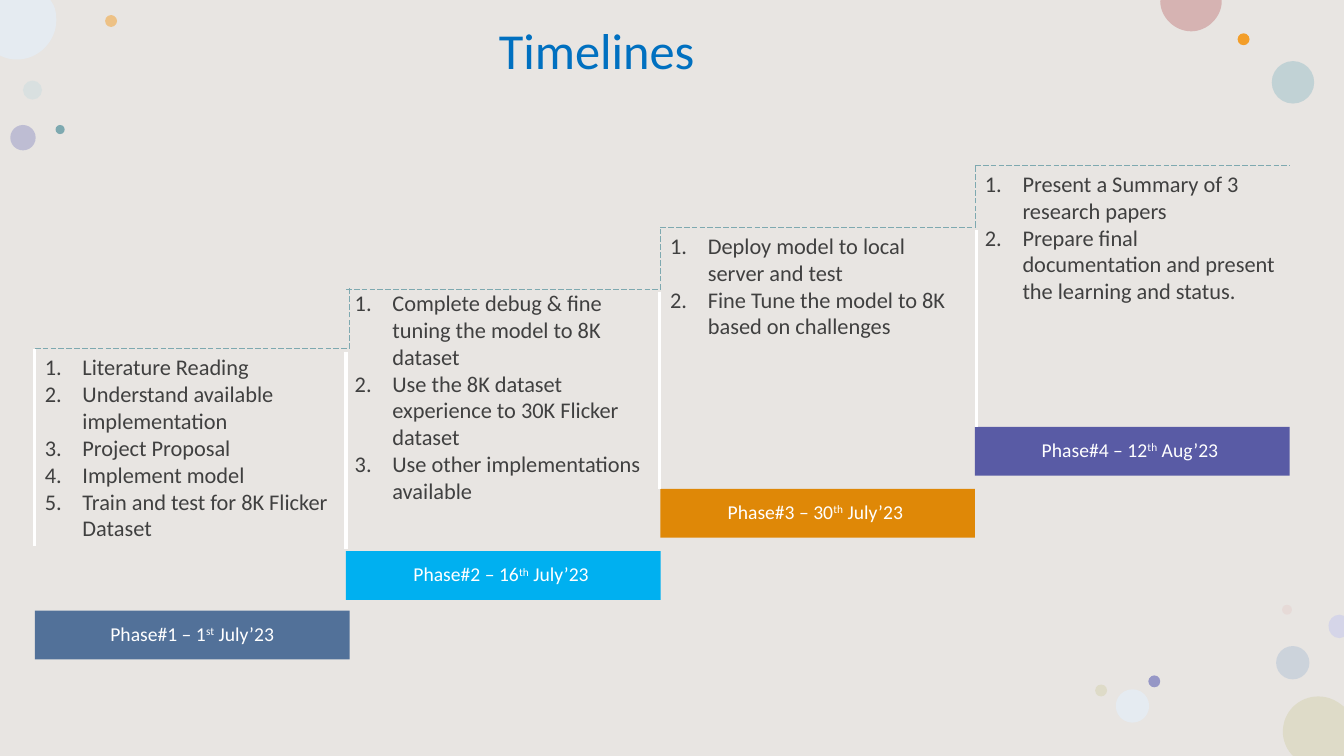
"""Build the four-phase project timeline slide."""
from lxml import etree
from pptx import Presentation, util as u
from pptx.dml.color import RGBColor
from pptx.enum import dml, shapes, text
from pptx.oxml import ns

PAPER = RGBColor(0xE8, 0xE5, 0xE2)
WHITE = RGBColor(0xFF, 0xFF, 0xFF)
TITLE = RGBColor(0x00, 0x70, 0xC0)
BODY = RGBColor(0x40, 0x40, 0x40)
TEAL = RGBColor(0x7E, 0xA9, 0xB0)
STEEL = RGBColor(0x52, 0x71, 0x99)
SKY = RGBColor(0x00, 0xB0, 0xF0)
AMBER = RGBColor(0xDF, 0x88, 0x07)
INDIGO = RGBColor(0x59, 0x5B, 0xA5)
MIST = RGBColor(0xCB, 0xDD, 0xDF)
ORANGE = RGBColor(0xF3, 0x9E, 0x29)
SLATE = RGBColor(0xB2, 0xC2, 0xD6)
LILAC = RGBColor(0x96, 0x97, 0xC6)
AQUA = RGBColor(0xB2, 0xCB, 0xD0)
BLUSH = RGBColor(0xE3, 0xBE, 0xBE)
ICE = RGBColor(0xE5, 0xEB, 0xF1)
SAND = RGBColor(0xDE, 0xDB, 0xC8)
ROSE = RGBColor(0xD6, 0xB3, 0xB2)
PALE = RGBColor(0xD5, 0xD5, 0xE8)

WIDE, HIGH = 33.87, 19.05
SPAN, BAR, DROP, RISE = 7.93, 1.23, 6.6, 1.57
RECT, OVAL = shapes.MSO_SHAPE.RECTANGLE, shapes.MSO_SHAPE.OVAL

DOTS = [
    (0.58, 2.03, 0.48, MIST, 50), (2.65, 0.38, 0.3, ORANGE, 50),
    (32.16, 16.28, 0.84, SLATE, 50), (0.26, 3.15, 0.64, LILAC, 50),
    (32.05, 1.54, 1.07, AQUA, 72), (31.19, 0.84, 0.3, ORANGE, 100),
    (32.31, 15.24, 0.25, BLUSH, 28), (28.94, 17.02, 0.3, LILAC, 100),
    (28.12, 17.37, 0.84, ICE, 100), (27.6, 17.25, 0.3, SAND, 100),
    (1.4, 3.15, 0.23, TEAL, 100),
]
DISCS = [
    (SAND, (33.22, 17.55), [
        (33.48, 17.55, 33.68, 17.65, WIDE, 17.81), (WIDE, HIGH),
        (32.59, HIGH), (32.54, 19), (32.41, 18.85, 32.33, 18.64, 32.33, 18.44),
        (32.33, 17.93, 32.74, 17.55, 33.22, 17.55)]),
    (ICE, (0, 0), [
        (1.27, 0), (1.35, 0.13), (1.4, 0.23, 1.42, 0.36, 1.42, 0.51),
        (1.42, 1.04, 0.97, 1.5, 0.43, 1.5),
        (0.28, 1.5, 0.15, 1.47, 0.05, 1.42), (0, 1.4)]),
    (ROSE, (29.25, 0), [
        (30.79, 0), (30.79, 0.03), (30.79, 0.43, 30.43, 0.79, 30.02, 0.79),
        (29.6, 0.79, 29.24, 0.43, 29.24, 0.03)]),
    (PALE, (33.76, 15.49), [
        (WIDE, 15.52), (WIDE, 16.05), (33.76, 16.08),
        (33.6, 16.08, 33.48, 15.95, 33.48, 15.77),
        (33.48, 15.62, 33.6, 15.49, 33.76, 15.49)]),
]
PHASES = [
    (0.88, 8.79, 0.88, 8.78, STEEL, ("Phase#1 – 1", "st", " July’23"),
     ["Literature Reading", "Understand available implementation",
      "Project Proposal", "Implement model",
      "Train and test for 8K Flicker Dataset"]),
    (8.72, 7.29, 8.69, 7.16, SKY, ("Phase#2 – 16", "th", " July’23 "),
     ["Complete debug & fine tuning the model to 8K dataset",
      "Use the 8K dataset experience to 30K Flicker dataset",
      "Use other implementations available"]),
    (16.64, 5.72, 16.64, 5.72, AMBER, ("Phase#3 – 30", "th", " July’23 "),
     ["Deploy model to local server and test",
      "Fine Tune the model to 8K based on challenges"]),
    (24.57, 4.16, 24.57, 4.16, INDIGO, ("Phase#4 – 12", "th", " Aug’23 "),
     ["Present a Summary of 3 research papers",
      "Prepare final documentation and present the learning and status."]),
]
POSTS = [(0.88, 8.79), (8.72, 8.86), (16.61, 7.35), (24.6, 5.79)]


class Deck:
    """Hold the style and the current slide."""

    def __init__(self, face):
        self.face = face
        self.show = Presentation()
        self.show.slide_width = u.Cm(WIDE)
        self.show.slide_height = u.Cm(HIGH)
        self.slide = self.show.slides.add_slide(self.show.slide_layouts[6])
        self.items = self.slide.shapes

    def paint(self, shape, color, alpha=100):
        shape.shadow.inherit = False
        shape.fill.solid()
        shape.fill.fore_color.rgb = color
        shape.line.fill.background()
        if alpha < 100:
            tone = shape.fill._xPr.find(".//" + ns.qn("a:srgbClr"))
            etree.SubElement(tone, ns.qn("a:alpha"), val=str(alpha * 1000))

    def font(self, para, size, color):
        para.font.name = self.face
        para.font.size = u.Pt(size)
        para.font.color.rgb = color

    def shape(self, kind, x, y, w, h, color, alpha=100):
        item = self.items.add_shape(kind, u.Cm(x), u.Cm(y), u.Cm(w), u.Cm(h))
        self.paint(item, color, alpha)
        return item

    def disc(self, color, start, moves):
        pen = self.items.build_freeform(u.Cm(start[0]), u.Cm(start[1]))
        pen.add_line_segments([(u.Cm(m[-2]), u.Cm(m[-1])) for m in moves])
        item = pen.convert_to_shape()
        self.paint(item, color)
        trail = item._element.find(".//" + ns.qn("a:path"))
        for node, move in zip(list(trail)[1:], moves):
            if len(move) == 6:
                curve = etree.Element(ns.qn("a:cubicBezTo"))
                for x, y in zip(move[::2], move[1::2]):
                    etree.SubElement(curve, ns.qn("a:pt"),
                                     x=str(u.Cm(x) - item.left),
                                     y=str(u.Cm(y) - item.top))
                trail.replace(node, curve)
        etree.SubElement(trail, ns.qn("a:close"))

    def line(self, x1, y1, x2, y2, color, width, dash=None):
        link = self.items.add_connector(shapes.MSO_CONNECTOR.STRAIGHT, u.Cm(x1),
                                        u.Cm(y1), u.Cm(x2), u.Cm(y2))
        link.line.color.rgb = color
        link.line.width = u.Pt(width)
        if dash:
            link.line.dash_style = dash
        etree.SubElement(link._element.spPr, ns.qn("a:effectLst"))

    def box(self, x, y, w, h):
        frame = self.items.add_textbox(u.Cm(x), u.Cm(y), u.Cm(w),
                                       u.Cm(h)).text_frame
        frame.word_wrap = True
        return frame

    def title(self, words, x, y, w, h):
        frame = self.box(x, y, w, h)
        frame.vertical_anchor = text.MSO_ANCHOR.MIDDLE
        para = frame.paragraphs[0]
        para.text = words
        para.line_spacing = 0.9
        self.font(para, 36, TITLE)

    def steps(self, rows, x, y, w, h):
        frame = self.box(x, y, w, h)
        for i, row in enumerate(rows):
            para = frame.add_paragraph() if i else frame.paragraphs[0]
            para.text = row
            self.font(para, 16, BODY)
            props = para._p.get_or_add_pPr()
            props.set("marL", str(u.Cm(0.95)))
            props.set("indent", str(-u.Cm(0.95)))
            mark = etree.Element(ns.qn("a:buAutoNum"), type="arabicPeriod")
            props.insert(0, mark)

    def bar(self, parts, x, y, color):
        frame = self.shape(RECT, x, y, SPAN, BAR, color).text_frame
        frame.margin_left = frame.margin_right = u.Cm(0.69)
        frame.margin_top = frame.margin_bottom = u.Cm(0)
        frame.vertical_anchor = text.MSO_ANCHOR.MIDDLE
        para = frame.paragraphs[0]
        para.alignment = text.PP_ALIGN.CENTER
        para.line_spacing = 0.9
        self.font(para, 14, WHITE)
        runs = [para.add_run() for part in parts]
        for run, part in zip(runs, parts):
            run.text = part
        runs[1]._r.get_or_add_rPr().set("baseline", "30000")

    def phase(self, x, top, left, head, color, label, rows, last):
        dash = dml.MSO_LINE.LONG_DASH
        self.bar(label, x, top + DROP, color)
        self.steps(rows, left, head, SPAN, 6.55)
        self.line(x, top, x + SPAN, top, TEAL, 0.5, dash)
        if not last:
            self.line(x + SPAN, top, x + SPAN, top - RISE, TEAL, 0.5, dash)


def main():
    deck = Deck("Calibri")
    deck.shape(RECT, 0, 0, WIDE, HIGH, PAPER)
    for x, y, size, color, alpha in DOTS:
        deck.shape(OVAL, x, y, size, size, color, alpha)
    for disc in DISCS:
        deck.disc(*disc)
    deck.title("Timelines", 12.32, 0.15, 7.16, 2.39)
    for phase in PHASES:
        deck.phase(*phase, last=phase is PHASES[-1])
    for x, y in POSTS:
        deck.line(x, y, x, y + 4.97, WHITE, 2.25)
    deck.show.save("out.pptx")


if __name__ == "__main__":
    main()
